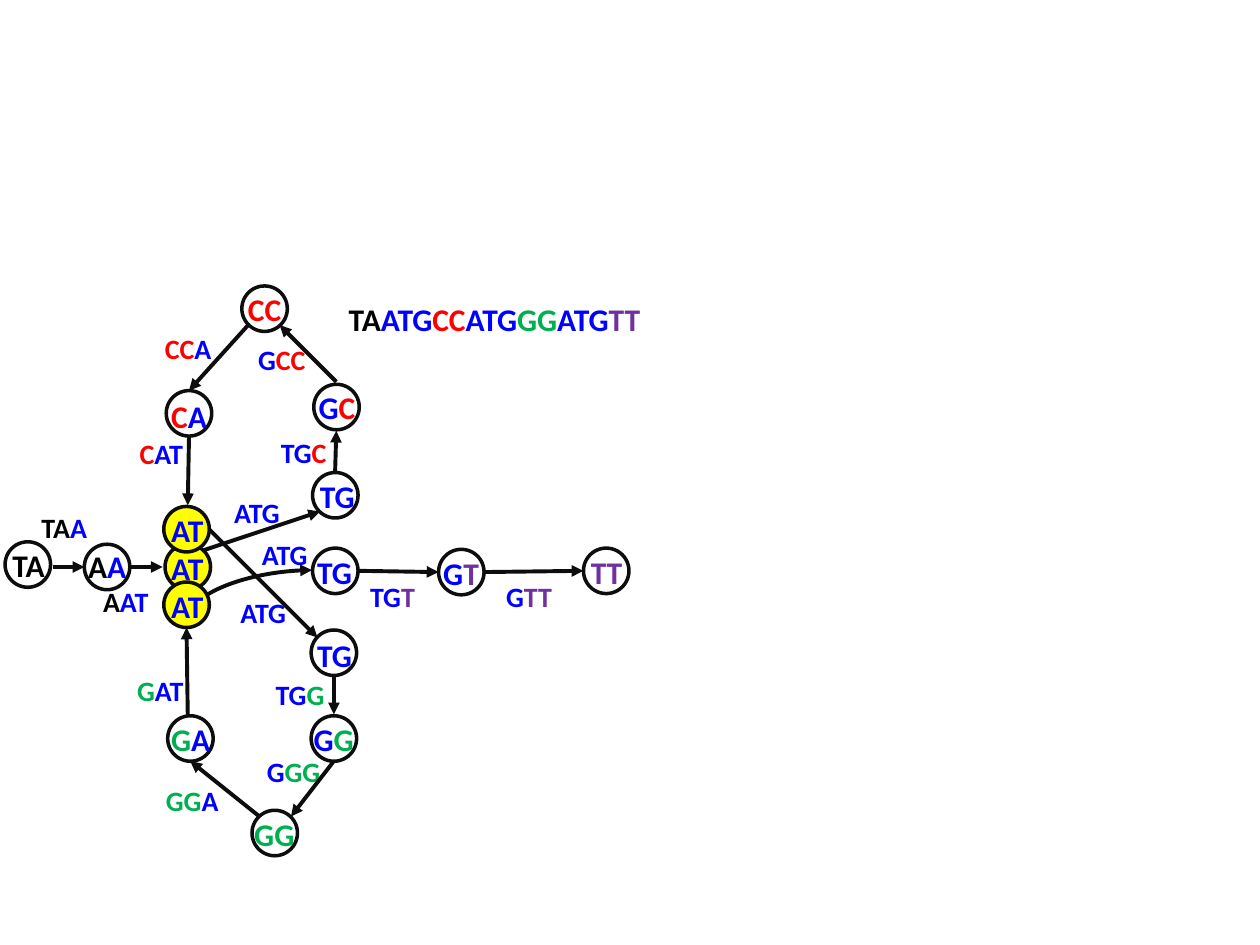
from itertools import groupby

from lxml import etree
from pptx import Presentation
from pptx.dml.color import RGBColor
from pptx.enum import shapes, text
from pptx.oxml.ns import qn
from pptx.util import Pt

BLACK = RGBColor(0, 0, 0)
BLUE = RGBColor(0, 0, 0xFF)
RED = RGBColor(0xFF, 0, 0)
GREEN = RGBColor(0, 0xB0, 0x50)
PURPLE = RGBColor(0x70, 0x30, 0xA0)
YELLOW = RGBColor(0xFF, 0xFF, 0)
INK = RGBColor(0x0D, 0x0D, 0x0D)
COLORS = {"k": BLACK, "b": BLUE, "r": RED, "g": GREEN, "p": PURPLE}
CIRCLE = 26

prs = Presentation()
prs.slide_width, prs.slide_height = Pt(720), Pt(540)
s = prs.slides.add_slide(prs.slide_layouts[6])


def add_bases(parent, bases, codes, x, y, w, h, size):
    """Write bases, each coloured by its code letter."""
    tf = parent.add_textbox(Pt(x), Pt(y), Pt(w), Pt(h)).text_frame
    tf.word_wrap = False
    tf.auto_size = text.MSO_AUTO_SIZE.SHAPE_TO_FIT_TEXT
    p = tf.paragraphs[0]
    for code, pairs in groupby(zip(codes, bases), key=lambda pair: pair[0]):
        r = p.add_run()
        r.text = "".join(base for _, base in pairs)
        for name, value in {"name": "Calibri", "size": Pt(size), "bold": True}.items():
            setattr(r.font, name, value)
        r.font.color.rgb = COLORS[code]


def add_arrow(x1, y1, x2, y2, kind=shapes.MSO_CONNECTOR.STRAIGHT):
    sp = s.shapes.add_connector(kind, Pt(x1), Pt(y1), Pt(x2), Pt(y2))
    sp.line.color.rgb = INK
    sp.line.width = Pt(2.25)
    etree.SubElement(sp.line._get_or_add_ln(), qn("a:tailEnd"), type="triangle")
    etree.SubElement(sp._element.spPr, qn("a:effectLst"))
    return sp


# Trinucleotide labels on the edges: bases, colours, left, top, width
labels = [
    ("TAA", "kkb", 16.6, 288, 42.5),
    ("TGC", "bbr", 153.4, 245.5, 41.8),
    ("GCC", "brr", 140.4, 192.2, 41.8),
    ("CCA", "rrb", 87.1, 185.8, 41.8),
    ("CAT", "rbb", 72.7, 246.2, 41),
    ("ATG", "bbb", 130.3, 337, 42.5),
    ("TGG", "bbg", 150.5, 383.8, 43.2),
    ("GGG", "bgg", 145.4, 427.7, 45.4),
    ("GGA", "ggb", 87.8, 444.2, 45.4),
    ("GAT", "gbb", 71.3, 381.6, 42.5),
    ("ATG", "bbb", 142.6, 303.8, 42.5),
    ("TGT", "bbp", 204.5, 327.6, 41),
    ("GTT", "bpp", 282.2, 327.6, 41),
    ("ATG", "bbb", 126.7, 279.4, 42.5),
    ("AAT", "kbb", 51.8, 330.5, 42.5),
]
for bases, codes, x, y, w in labels:
    add_bases(s.shapes, bases, codes, x, y, w, 26.6, 16)

# Full sequence
add_bases(s.shapes, "TAATGCCATGGGATGTT", "kkbbbrrbbbggbbbpp",
          192.2, 167.8, 189.4, 28.8, 18)

# Arrows that run under the nodes
for ends in [
    (30.2, 324, 48.2, 324),
    (74.9, 324, 92.9, 324),
    (115.9, 314.6, 182.9, 292.3),
]:
    add_arrow(*ends)

# Nodes: bases, colours, circle left and top, text left, top and width
nodes = [
    ("TA", "kk", 2.9, 309.6, 0, 308.2, 34.6),
    ("AA", "kb", 48.2, 311, 43.2, 308.9, 36.7),
    ("CA", "rb", 95, 223.2, 90.7, 223.2, 35.3),
    ("CC", "rr", 138.2, 163.4, 134.6, 162, 33.8),
    ("GC", "br", 179.3, 219.6, 175, 218.2, 36),
    ("TG", "bb", 178.6, 270, 175.7, 269.3, 35.3),
    ("TG", "bb", 178.6, 313.2, 174.2, 312.5, 35.3),
    ("GT", "bp", 250.6, 313.9, 246.2, 313.2, 35.3),
    ("TT", "pp", 333.4, 313.2, 330.5, 312.5, 32.4),
    ("TG", "bb", 177.8, 360, 174.2, 360, 35.3),
    ("GG", "bg", 177.8, 409, 172.1, 408.2, 37.4),
    ("GG", "gg", 144, 463, 138.2, 462.2, 37.4),
    ("GA", "gb", 95.8, 409, 90.7, 408.2, 37.4),
    ("AT", "bb", 94.3, 311, 90.7, 310.3, 34.6),
    ("AT", "bb", 93.6, 332.6, 90.7, 331.9, 34.6),
    ("AT", "bb", 93.6, 289.4, 90.7, 288.7, 34.6),
]
groups = []
for bases, codes, x, y, text_x, text_y, text_w in nodes:
    group = s.shapes.add_group_shape()
    sp = group.shapes.add_shape(shapes.MSO_SHAPE.OVAL, Pt(x), Pt(y), Pt(CIRCLE), Pt(CIRCLE))
    sp.shadow.inherit = False
    if bases == "AT":
        sp.fill.solid()
        sp.fill.fore_color.rgb = YELLOW
    else:
        sp.fill.background()
    sp.line.color.rgb = INK
    sp.line.width = Pt(2)
    add_bases(group.shapes, bases, codes, text_x, text_y, text_w, 28.8, 18)
    groups.append(group)

# Arrows that run over the nodes
for ends in [
    (191.5, 270, 192.2, 246.2),
    (192.2, 218.2, 159.8, 185.8),
    (141.8, 185.8, 108, 223.2),
    (108, 249.8, 107.3, 288.7),
    (204.5, 326.2, 250.6, 326.9),
    (276.5, 326.9, 333.4, 326.2),
    (119.5, 302.4, 181.4, 364.3),
    (190.8, 386.6, 190.8, 408.2),
    (190.8, 434.9, 166.3, 466.6),
    (148.3, 466.6, 108.7, 434.9),
    (107.3, 409, 106.6, 358.6),
]:
    add_arrow(*ends)

# Curved arrow: a quarter bend, turned so that it leaves upwards
curve = add_arrow(157, 375.9, 128.2, 304.6, shapes.MSO_CONNECTOR.CURVE)
curve._element.spPr.find(qn("a:prstGeom")).set("prst", "curvedConnector2")
curve._element.spPr.find(qn("a:xfrm")).set("rot", str(90 * 60000))

# The outer two AT nodes lie on top of the arrows
for group in groups[-2:]:
    s.shapes._spTree.append(group._element)

prs.save("out.pptx")
